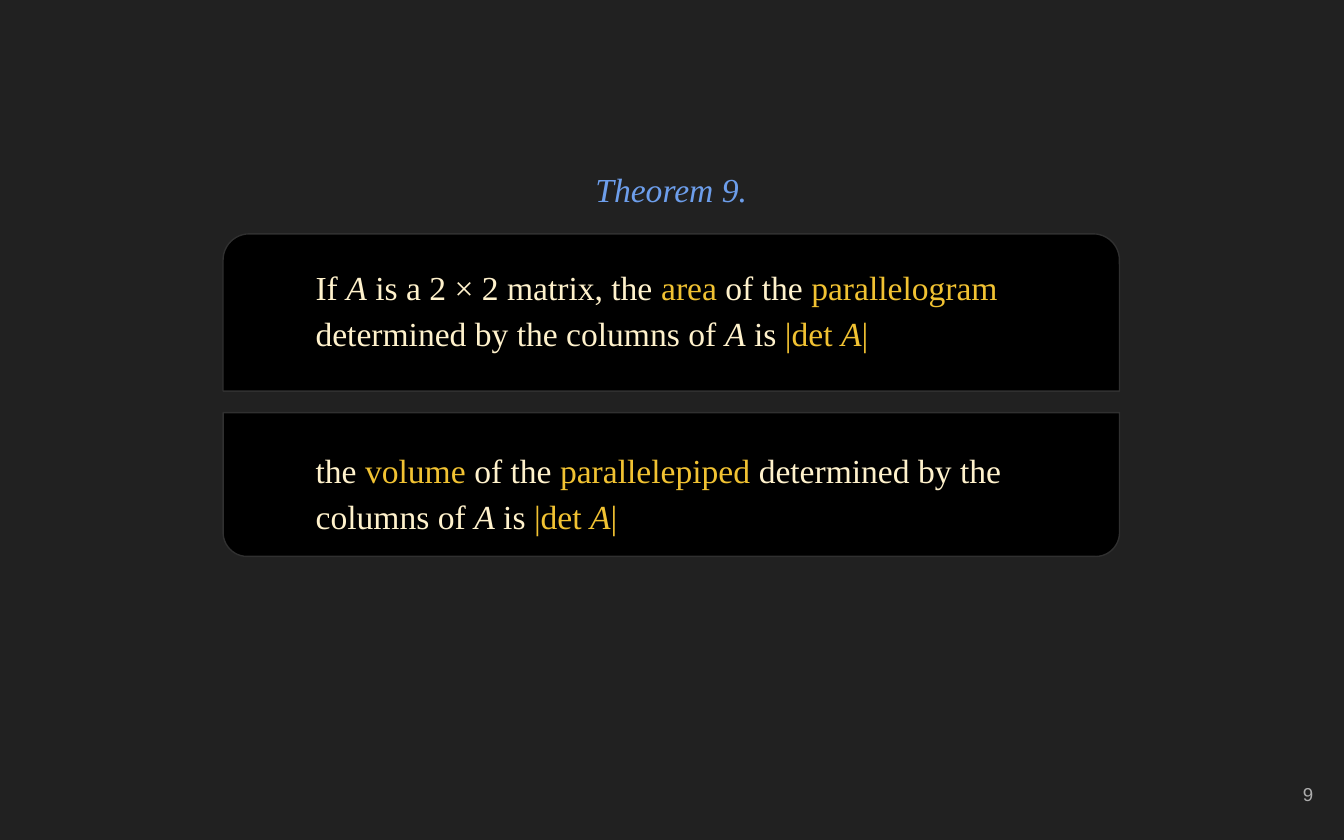
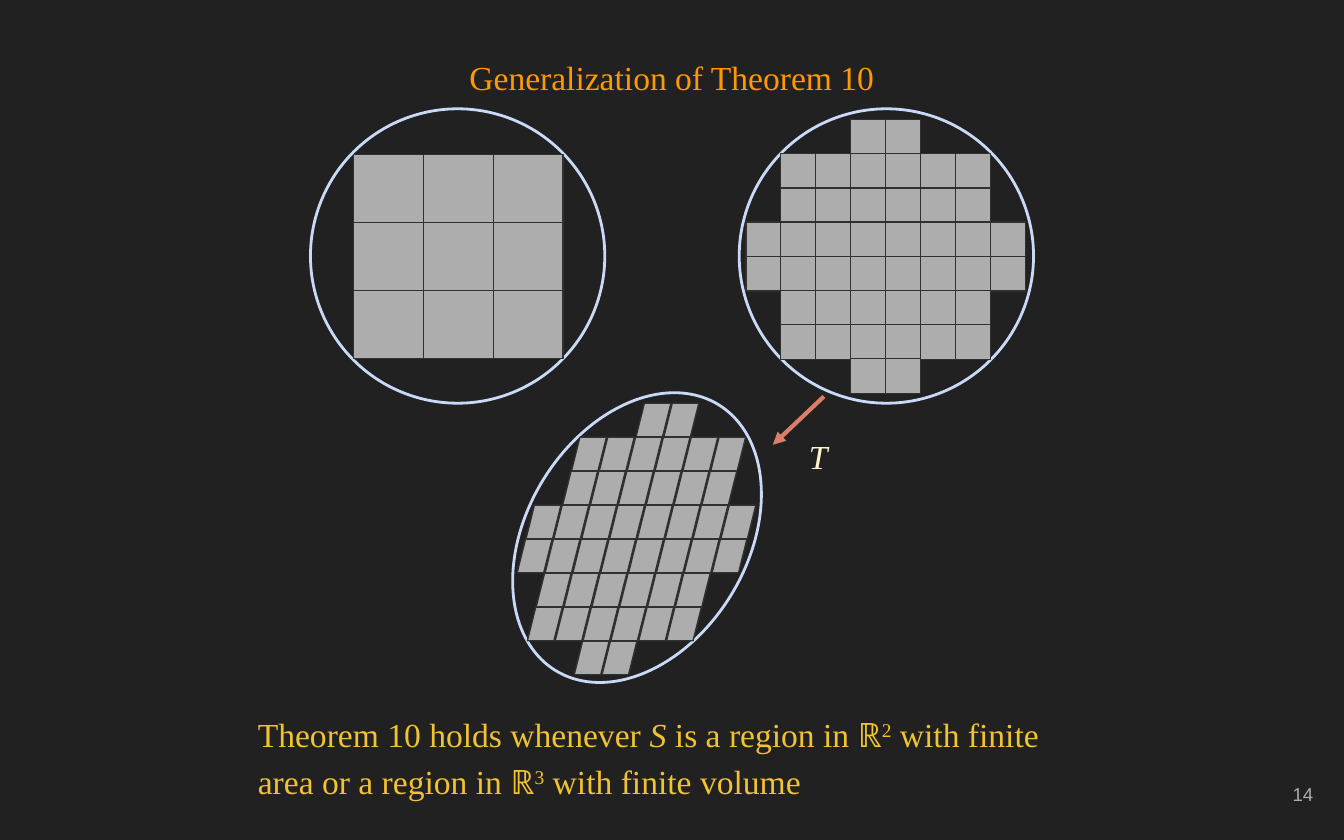
from lxml.etree import SubElement
from pptx import Presentation
from pptx.dml.color import RGBColor
from pptx.enum.shapes import MSO_CONNECTOR, MSO_SHAPE
from pptx.enum.text import MSO_ANCHOR, MSO_AUTO_SIZE, PP_ALIGN
from pptx.oxml.ns import qn
from pptx.util import Inches, Pt

# Shared look
DARK, BLACK, EDGE, GRAY = "212121", "000000", "303030", "ADADAD"
CREAM, GOLD, BLUE, ORANGE = "FFF2CC", "F1C232", "6D9EEB", "FF9900"
RING, CORAL = "C9DAF8", "DD7E6B"
SERIF, SANS = "Times New Roman", "Arial"

# Cells per row that fit inside the circle
ROWS = [2, 6, 6, 8, 8, 6, 6, 2]


def color(code):
    return RGBColor.from_string(code)


def place(shape, box):
    shape.left, shape.top, shape.width, shape.height = map(Inches, box)


def style(run, tone, size=18, face=SERIF, italic=False):
    font = run.font
    font.name, font.size, font.italic = face, Pt(size), italic
    font.color.rgb = color(tone)


def set_frame(frame, anchor=MSO_ANCHOR.TOP):
    frame.word_wrap = True
    frame.auto_size = MSO_AUTO_SIZE.NONE
    frame.vertical_anchor = anchor
    frame.margin_left = frame.margin_right = Inches(0.1)
    frame.margin_top = frame.margin_bottom = Inches(0.1)


def add_title(slide, text, box, tone, anchor, italic=False):
    title = slide.shapes.title
    place(title, box)
    set_frame(title.text_frame, anchor)
    title.text_frame.text = text
    para = title.text_frame.paragraphs[0]
    para.alignment = PP_ALIGN.CENTER
    style(para.runs[0], tone, italic=italic)


def add_number(slide, number):
    box = slide.shapes.add_textbox(*map(Inches, (9.27, 5.67, 0.6, 0.48)))
    set_frame(box.text_frame, MSO_ANCHOR.MIDDLE)
    box.text_frame.text = number
    para = box.text_frame.paragraphs[0]
    para.alignment = PP_ALIGN.RIGHT
    style(para.runs[0], GRAY, 10, SANS)


def add_words(shapes, box, parts):
    """Each part is (text, colour) or (text, colour, "italic" or "super")."""
    frame = shapes.add_textbox(*map(Inches, box)).text_frame
    set_frame(frame)
    para = frame.paragraphs[0]
    para.line_spacing = 1.15
    for text, tone, *form in parts:
        run = para.add_run()
        run.text = text
        style(run, tone, italic="italic" in form)
        if "super" in form:
            run._r.get_or_add_rPr().set("baseline", "30000")


def add_form(shapes, kind, box, fill=None, line=EDGE, width=0.75):
    shape = shapes.add_shape(kind, *map(Inches, box))
    shape.shadow.inherit = False
    if fill:
        shape.fill.solid()
        shape.fill.fore_color.rgb = color(fill)
    else:
        shape.fill.background()
    shape.line.color.rgb = color(line)
    shape.line.width = Pt(width)
    return shape


def add_panel(slide, box, turn, area, parts):
    shapes = slide.shapes.add_group_shape().shapes
    panel = add_form(shapes, MSO_SHAPE.ROUND_2_SAME_RECTANGLE, box, BLACK)
    panel.adjustments[0] = 0.167
    panel.rotation = turn
    add_words(shapes, area, parts)


def add_region(slide, ring, turn, kind, rows, start, step, size, drift=0):
    """Outline filled with centred rows of cells; drift shifts each row left."""
    shapes = slide.shapes.add_group_shape().shapes
    add_form(shapes, MSO_SHAPE.OVAL, ring, None, RING, 1.5).rotation = turn
    mid, top = start
    for row, count in enumerate(rows):
        left = mid - count * step[0] / 2 - row * drift
        for col in range(count):
            box = (left + col * step[0], top + row * step[1], *size)
            add_form(shapes, kind, box, GRAY)


def add_arrow(slide, start, end):
    line = slide.shapes.add_connector(
        MSO_CONNECTOR.STRAIGHT, *map(Inches, (*start, *end)))
    line.line.color.rgb = color(CORAL)
    line.line.width = Pt(2.25)
    SubElement(line.line._get_or_add_ln(), qn("a:tailEnd"), type="triangle")
    SubElement(line._element.spPr, qn("a:effectLst"))


def theorem(slide):
    add_number(slide, "9")
    add_title(slide, "Theorem 9.", (0.48, 1.12, 9.03, 0.58), BLUE,
              MSO_ANCHOR.MIDDLE, italic=True)
    # Both statements end alike
    ending = [("A", CREAM, "italic"), (" is ", CREAM), ("|det ", GOLD),
              ("A", GOLD, "italic"), ("|", GOLD)]
    add_panel(slide, (1.66, 1.74, 6.67, 1.17), 0, (2.25, 1.84, 5.7, 0.55), [
        ("If ", CREAM), ("A", CREAM, "italic"),
        (" is a 2 × 2 matrix, the ", CREAM), ("area", GOLD),
        (" of the ", CREAM), ("parallelogram ", GOLD),
        ("determined by the columns of ", CREAM), *ending])
    add_panel(slide, (1.66, 3.07, 6.67, 1.07), 180, (2.25, 3.2, 5.59, 0.55), [
        ("the ", CREAM), ("volume ", GOLD), ("of the ", CREAM),
        ("parallelepiped ", GOLD),
        ("determined by the columns of ", CREAM), *ending])


def general(slide):
    add_number(slide, "14")
    add_title(slide, "Generalization of Theorem 10",
              (0.34, 0.28, 9.32, 0.48), ORANGE, MSO_ANCHOR.TOP)
    slide.shapes.title.text_frame.paragraphs[0].line_spacing = 1.15
    # Coarse grid, fine grid, and the image of the fine grid under T
    add_region(slide, (2.31, 0.81, 2.19, 2.19), 0, MSO_SHAPE.RECTANGLE,
               [3] * 3, (3.41, 1.15), (0.52, 1.01 / 2), (0.52, 0.51))
    add_region(slide, (5.5, 0.81, 2.19, 2.19), 0, MSO_SHAPE.RECTANGLE,
               ROWS, (6.59, 0.89), (0.26, 1.78 / 7), (0.26, 0.26))
    add_region(slide, (3.92, 2.84, 1.64, 2.32), 31.5, MSO_SHAPE.PARALLELOGRAM,
               ROWS, (4.94, 3), (1.45 / 7, 1.77 / 7), (0.26, 0.25), 0.46 / 7)
    add_arrow(slide, (6.13, 2.95), (5.75, 3.31))
    add_words(slide.shapes, (5.92, 3.1, 0.49, 0.55), [("T", CREAM, "italic")])
    add_words(slide.shapes, (1.82, 5.17, 6.35, 0.85), [
        ("Theorem 10 holds whenever ", GOLD), ("S", GOLD, "italic"),
        (" is a region in ℝ", GOLD), ("2", GOLD, "super"),
        (" with finite area or a region in ℝ", GOLD), ("3", GOLD, "super"),
        (" with finite volume", GOLD)])


def main():
    prs = Presentation()
    prs.slide_width, prs.slide_height = Inches(10), Inches(6.25)
    back = prs.slide_master.background.fill
    back.solid()
    back.fore_color.rgb = color(DARK)
    for build in (theorem, general):
        build(prs.slides.add_slide(prs.slide_layouts[5]))
    prs.save("out.pptx")


if __name__ == "__main__":
    main()
